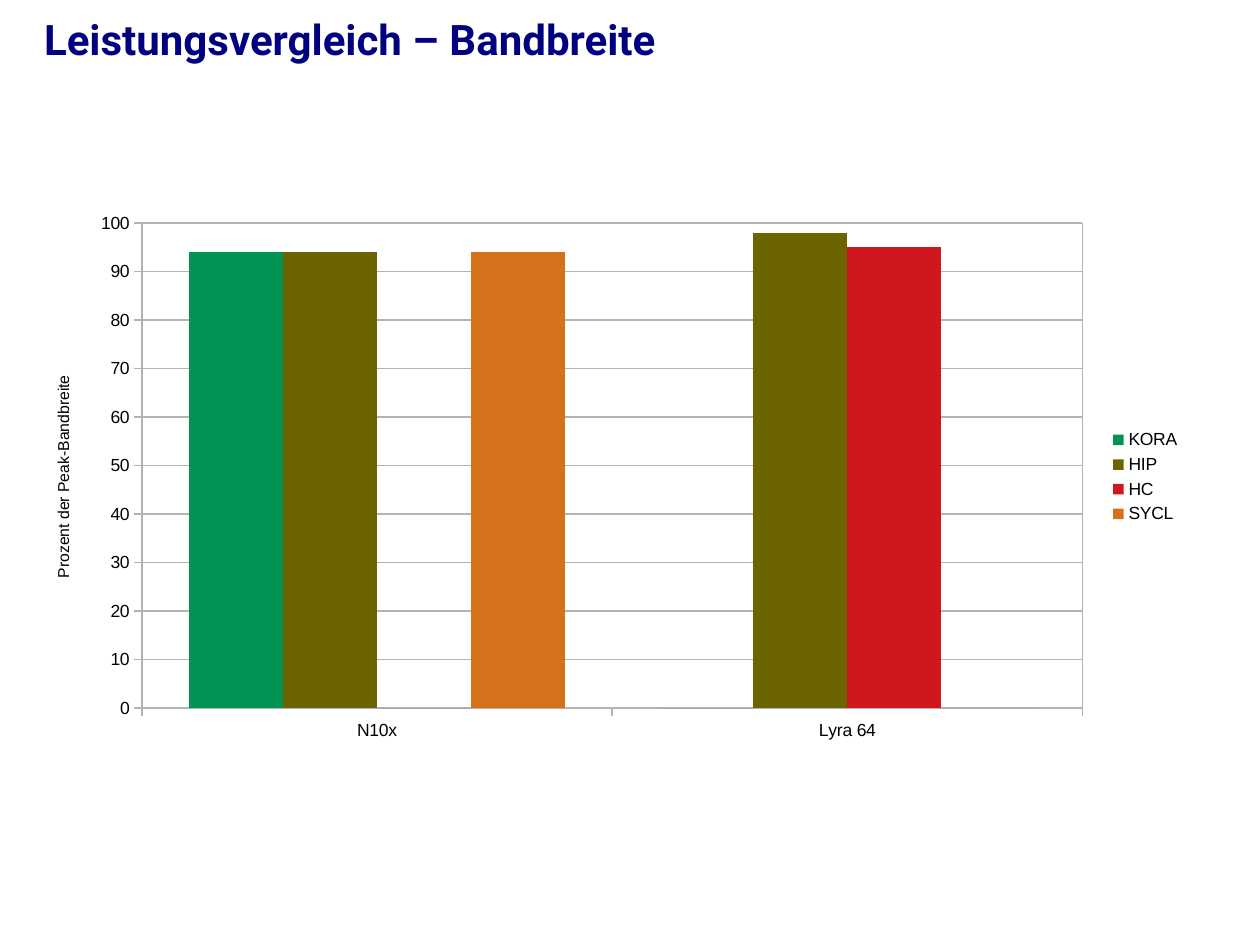
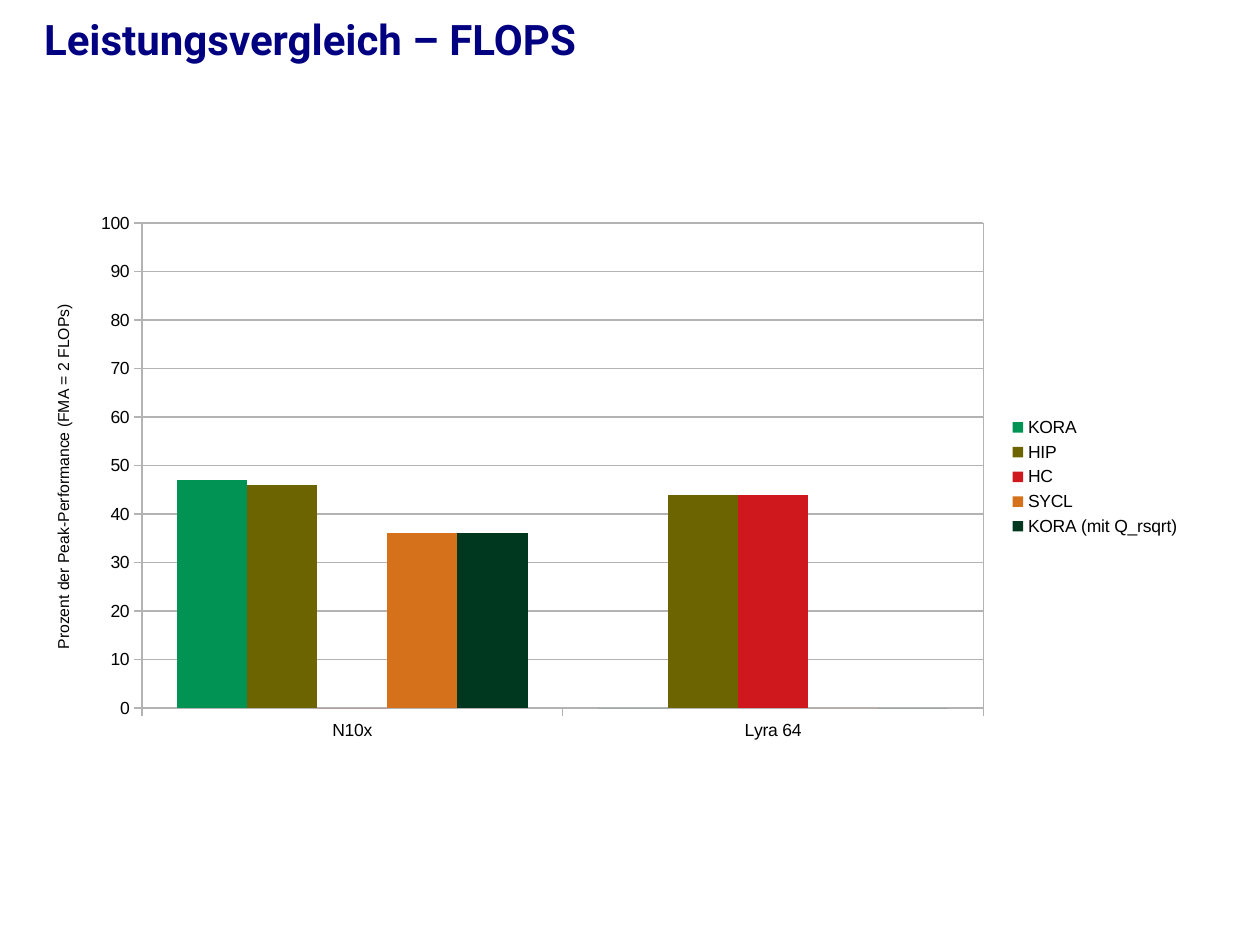
"""Build two slides that compare GPU programming models by bandwidth and by FLOPS."""
from dataclasses import dataclass

from lxml import etree
from pptx import Presentation
from pptx.chart.data import CategoryChartData
from pptx.dml.color import RGBColor
from pptx.enum.chart import XL_CHART_TYPE, XL_LEGEND_POSITION, XL_TICK_MARK
from pptx.enum.text import MSO_ANCHOR
from pptx.util import Inches, Pt

COLUMNS = XL_CHART_TYPE.COLUMN_CLUSTERED
LEGEND_RIGHT = XL_LEGEND_POSITION.RIGHT
TICK_OUT = XL_TICK_MARK.OUTSIDE
MIDDLE = MSO_ANCHOR.MIDDLE

SLIDE_WIDTH, SLIDE_HEIGHT = Inches(10), Inches(7.5)
CHART_NS = "http://schemas.openxmlformats.org/drawingml/2006/chart"
DRAWING_NS = "http://schemas.openxmlformats.org/drawingml/2006/main"

NAVY, BLACK, GRID_GREY = "000080", "000000", "B3B3B3"
MODEL_COLOURS = {
    "KORA": "009353",
    "HIP": "6B6400",
    "HC": "CE181E",
    "SYCL": "D4711A",
    "KORA (mit Q_rsqrt)": "00381F",
}
GPUS = ("N10x", "Lyra 64")


@dataclass(frozen=True)
class Area:
    """Rectangle given as shares of its container."""
    left: float
    top: float
    width: float
    height: float

    def on_slide(self) -> tuple[int, int, int, int]:
        """Return the rectangle in slide units."""
        return (int(self.left * SLIDE_WIDTH), int(self.top * SLIDE_HEIGHT),
                int(self.width * SLIDE_WIDTH), int(self.height * SLIDE_HEIGHT))


@dataclass(frozen=True)
class Comparison:
    """One slide: its heading, axis caption, plot width and results per model."""
    heading: str
    caption: str
    plot_width: float
    results: dict[str, tuple[int, int]]


HEADING_AREA = Area(0.035, 0.0107, 0.933, 0.0613)
CHART_AREA = Area(0.022, 0.2147, 0.925, 0.58)

COMPARISONS = (
    Comparison(
        "Leistungsvergleich – Bandbreite", "Prozent der Peak-Bandbreite", 0.807,
        {"KORA": (94, 0), "HIP": (94, 98), "HC": (0, 95), "SYCL": (94, 0)},
    ),
    Comparison(
        "Leistungsvergleich – FLOPS",
        "Prozent der Peak-Performance (FMA = 2 FLOPs)", 0.722,
        {"KORA": (47, 0), "HIP": (46, 44), "HC": (0, 44), "SYCL": (36, 0),
         "KORA (mit Q_rsqrt)": (36, 0)},
    ),
)


def colour(code: str) -> RGBColor:
    """Turn a hex string into a colour."""
    return RGBColor.from_string(code)


def style_font(font, name: str, size: float, code: str, bold: bool = False) -> None:
    """Set typeface, size, colour and weight."""
    font.name, font.size, font.bold = name, Pt(size), bold
    font.color.rgb = colour(code)


def style_line(line) -> None:
    """Draw a grey hairline."""
    line.color.rgb = colour(GRID_GREY)
    line.width = Pt(0)


def add_heading(slide, text: str) -> None:
    """Add the slide heading."""
    frame = slide.shapes.add_textbox(*HEADING_AREA.on_slide()).text_frame
    frame.word_wrap = True
    frame.vertical_anchor = MIDDLE
    frame.margin_left = frame.margin_right = frame.margin_top = frame.margin_bottom = 0
    run = frame.paragraphs[0].add_run()
    run.text = text
    style_font(run.font, "Roboto", 24, NAVY, bold=True)


def frame_plot(chart, area: Area) -> None:
    """Fix the inner plot area and outline it."""
    plot_area = chart._chartSpace.chart.plotArea
    for old in plot_area.findall(f"{{{CHART_NS}}}layout"):
        plot_area.remove(old)
    plot_area.insert(0, etree.fromstring(
        f'<c:layout xmlns:c="{CHART_NS}"><c:manualLayout>'
        '<c:layoutTarget val="inner"/><c:xMode val="edge"/><c:yMode val="edge"/>'
        f'<c:x val="{area.left}"/><c:y val="{area.top}"/>'
        f'<c:w val="{area.width}"/><c:h val="{area.height}"/>'
        '</c:manualLayout></c:layout>'))
    plot_area.append(etree.fromstring(
        f'<c:spPr xmlns:c="{CHART_NS}" xmlns:a="{DRAWING_NS}"><a:noFill/>'
        f'<a:ln w="0"><a:solidFill><a:srgbClr val="{GRID_GREY}"/></a:solidFill></a:ln>'
        '</c:spPr>'))


def style_axes(chart, caption: str) -> None:
    """Format both axes and caption the percentage scale."""
    for axis in (chart.category_axis, chart.value_axis):
        axis.major_tick_mark = TICK_OUT
        style_font(axis.tick_labels.font, "Arial", 10, BLACK)
        style_line(axis.format.line)
    percent = chart.value_axis
    percent.minimum_scale, percent.maximum_scale, percent.major_unit = 0, 100, 10
    style_line(percent.major_gridlines.format.line)
    run = percent.axis_title.text_frame.paragraphs[0].add_run()
    run.text = caption
    style_font(run.font, "Arial", 9, BLACK)


def add_comparison_chart(slide, comparison: Comparison) -> None:
    """Add the clustered columns of one comparison."""
    data = CategoryChartData()
    data.categories = GPUS
    for model, shares in comparison.results.items():
        data.add_series(model, shares)
    chart = slide.shapes.add_chart(COLUMNS, *CHART_AREA.on_slide(), data).chart
    style_font(chart.font, "Arial", 10, BLACK)
    chart.has_title = False
    chart.has_legend = True
    chart.legend.position = LEGEND_RIGHT
    chart.legend.include_in_layout = False
    style_font(chart.legend.font, "Arial", 10, BLACK)

    columns = chart.plots[0]
    columns.gap_width, columns.overlap = 100, 0
    columns.vary_by_categories = False
    for model in columns.series:
        model.format.fill.solid()
        model.format.fill.fore_color.rgb = colour(MODEL_COLOURS[model.name])
        model.format.line.fill.background()
    style_axes(chart, comparison.caption)
    frame_plot(chart, Area(0.098, 0.037, comparison.plot_width, 0.885))


def main() -> None:
    """Build and save the presentation."""
    deck = Presentation()
    deck.slide_width, deck.slide_height = SLIDE_WIDTH, SLIDE_HEIGHT
    for comparison in COMPARISONS:
        slide = deck.slides.add_slide(deck.slide_layouts[6])
        add_heading(slide, comparison.heading)
        add_comparison_chart(slide, comparison)
    deck.save("out.pptx")


if __name__ == "__main__":
    main()
